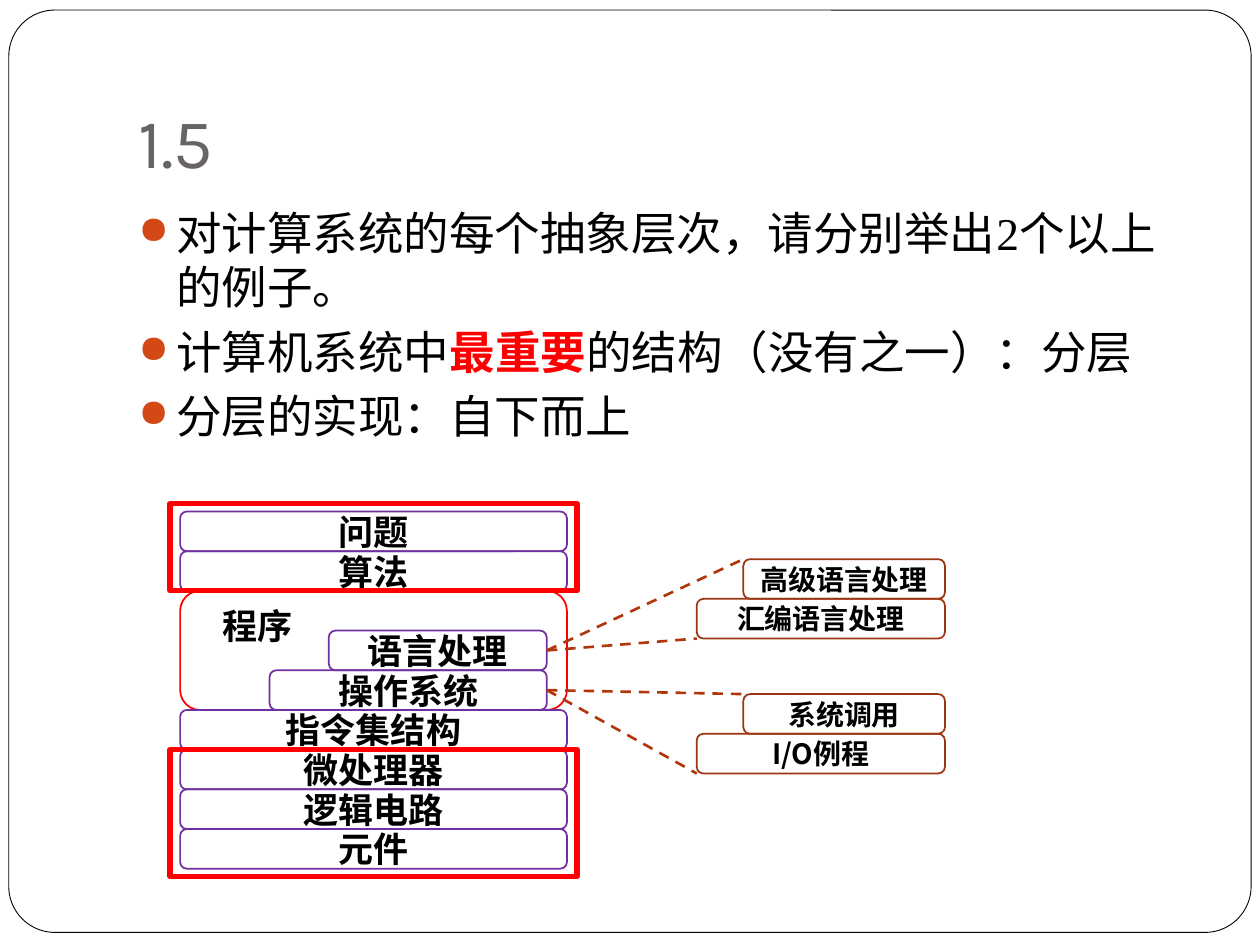
"""Build the slide on the layers of a computing system."""
from dataclasses import dataclass

from lxml import etree
from pptx import Presentation
from pptx import util as u
from pptx.dml.color import RGBColor
from pptx.enum import dml, shapes, text
from pptx.oxml.ns import qn

SANS, SERIF, TITLE_FONT = "Noto Sans CJK SC", "Times New Roman", "Karla"
BLACK, RED, PURPLE, BROWN, RUST = "000000", "FF0000", "7030A0", "9C3511", "B1360B"
STACK_TOP, ROW = 4.06, 0.315
STACK_LEFT, STACK_WIDTH = 1.43, 3.07
INNER_RIGHT, DETAIL_RIGHT = 4.34, 7.5


@dataclass
class Layer:
    label: str
    row: float
    left: float = STACK_LEFT
    right: float = STACK_LEFT + STACK_WIDTH
    span: float = 1
    colour: str = PURPLE
    size: int = 20


@dataclass
class Detail:
    source_row: float
    row: float
    upper: str
    lower: str
    upper_left: float = 5.9
    lower_left: float = 5.53


LAYERS = [
    Layer("问题", 0),
    Layer("算法", 1),
    Layer("", 2, span=3, colour=RED),
    Layer("语言处理", 3, 2.61, INNER_RIGHT),
    Layer("操作系统", 4, 2.14, INNER_RIGHT),
    Layer("指令集结构", 5),
    Layer("微处理器", 6),
    Layer("逻辑电路", 7),
    Layer("元件", 8),
]
FRAMES = [(-0.2, 2.2), (6, 3.2)]
DETAILS = [
    Detail(3.5, 1.2, "高级语言处理", "汇编语言处理"),
    Detail(4.5, 4.6, "系统调用", "I/O例程"),
]
BODY = [
    [("对计算系统的每个抽象层次，请分别举出2个以上的例子。", False)],
    [("计算机系统中", False), ("最重要", True), ("的结构（没有之一）：分层", False)],
    [("分层的实现：自下而上", False)],
]


def colour_of(value: str) -> RGBColor:
    """Turn a hex string into a colour."""
    return RGBColor.from_string(value)


def row_top(row: float) -> float:
    """Return the top of a row of the stack in inches."""
    return STACK_TOP + row * ROW


def add_text(paragraph, content: str, *, size: float, font: str = SANS,
             colour: str = BLACK, bold: bool = False) -> None:
    """Append a formatted run to a paragraph."""
    run = paragraph.add_run()
    run.text = content
    run.font.size, run.font.name, run.font.bold = u.Pt(size), font, bold
    run.font.color.rgb = colour_of(colour)
    east_asian = etree.SubElement(run.font._element, qn("a:ea"))
    east_asian.set("typeface", SANS)


def add_outline(slide, kind, left: float, top: float, width: float, height: float,
                colour: str, weight: float, fill: str = ""):
    """Add a preset shape with an outline and an optional fill."""
    shape = slide.shapes.add_shape(kind, *map(u.Inches, (left, top, width, height)))
    shape.shadow.inherit = False
    if fill:
        shape.fill.solid()
        shape.fill.fore_color.rgb = colour_of(fill)
    else:
        shape.fill.background()
    shape.line.color.rgb = colour_of(colour)
    shape.line.width = u.Pt(weight)
    return shape


def add_text_box(slide, left: float, top: float, width: float, height: float):
    """Add a wrapping text box and return its text frame."""
    box = slide.shapes.add_textbox(*map(u.Inches, (left, top, width, height)))
    box.text_frame.word_wrap = True
    return box.text_frame


def add_layer(slide, layer: Layer) -> None:
    """Draw one rounded box of the stack."""
    shape = add_outline(slide, shapes.MSO_SHAPE.ROUNDED_RECTANGLE, layer.left,
                        row_top(layer.row), layer.right - layer.left,
                        layer.span * ROW, layer.colour, 1)
    if layer.label:
        frame = shape.text_frame
        frame.margin_top = frame.margin_bottom = 0
        frame.vertical_anchor = text.MSO_ANCHOR.MIDDLE
        paragraph = frame.paragraphs[0]
        paragraph.alignment = text.PP_ALIGN.CENTER
        add_text(paragraph, layer.label, size=layer.size, bold=True)


def add_dashed_line(slide, start: tuple[float, float], end: tuple[float, float]) -> None:
    """Draw a dashed line between two points."""
    line = slide.shapes.add_connector(shapes.MSO_CONNECTOR.STRAIGHT,
                                      *map(u.Inches, start + end))
    line.line.color.rgb = colour_of(RUST)
    line.line.width = u.Pt(1.5)
    line.line.dash_style = dml.MSO_LINE.DASH
    etree.SubElement(line._element.spPr, qn("a:effectLst"))


def add_detail(slide, detail: Detail) -> None:
    """Draw a pair of detail boxes and the lines that lead to them."""
    start = (INNER_RIGHT, row_top(detail.source_row))
    for label, left, offset in ((detail.lower, detail.lower_left, 1),
                                (detail.upper, detail.upper_left, 0)):
        row = detail.row + offset
        add_layer(slide, Layer(label, row, left, DETAIL_RIGHT, colour=BROWN, size=16))
        add_dashed_line(slide, start, (left, row_top(row + offset)))


def add_bullet(paragraph) -> None:
    """Give a paragraph a hanging round bullet."""
    properties = paragraph._p.get_or_add_pPr()
    properties.set("marL", str(u.Inches(0.3)))
    properties.set("indent", str(-u.Inches(0.3)))
    bullet_colour = etree.SubElement(properties, qn("a:buClr"))
    etree.SubElement(bullet_colour, qn("a:srgbClr")).set("val", "D34817")
    etree.SubElement(properties, qn("a:buSzPct")).set("val", "85000")
    etree.SubElement(properties, qn("a:buChar")).set("char", "●")


def add_body(slide) -> None:
    """Write the bulleted paragraphs."""
    frame = add_text_box(slide, 1, 1.58, 8.5, 5)
    for index, parts in enumerate(BODY):
        paragraph = frame.add_paragraph() if index else frame.paragraphs[0]
        paragraph.space_before = u.Pt(5.8)
        paragraph.line_spacing = u.Pt(31)
        add_bullet(paragraph)
        for content, strong in parts:
            add_text(paragraph, content, size=26, font=SERIF,
                     colour=RED if strong else BLACK, bold=strong)


def build() -> None:
    """Build and save the presentation."""
    presentation = Presentation()
    presentation.slide_width, presentation.slide_height = u.Inches(10), u.Inches(7.5)
    slide = presentation.slides.add_slide(presentation.slide_layouts[6])
    border = add_outline(slide, shapes.MSO_SHAPE.ROUNDED_RECTANGLE,
                         0.07, 0.08, 9.86, 7.32, BLACK, 0.5, "FFFFFF")
    border.adjustments[0] = 0.05
    title = add_text_box(slide, 1, 0.3, 8.5, 1.25)
    title.vertical_anchor = text.MSO_ANCHOR.BOTTOM
    title.margin_bottom = u.Inches(0.1)
    add_text(title.paragraphs[0], "1.5", size=40, font=TITLE_FONT, colour="696464")
    add_body(slide)
    for layer in LAYERS:
        add_layer(slide, layer)
    program = add_text_box(slide, 1.67, 4.75, 1.42, 0.35)
    add_text(program.paragraphs[0], "程序", size=20, bold=True)
    for row, span in FRAMES:
        add_outline(slide, shapes.MSO_SHAPE.RECTANGLE, 1.35, row_top(row),
                    3.23, span * ROW, RED, 3)
    for detail in DETAILS:
        add_detail(slide, detail)
    presentation.save("out.pptx")


build()
